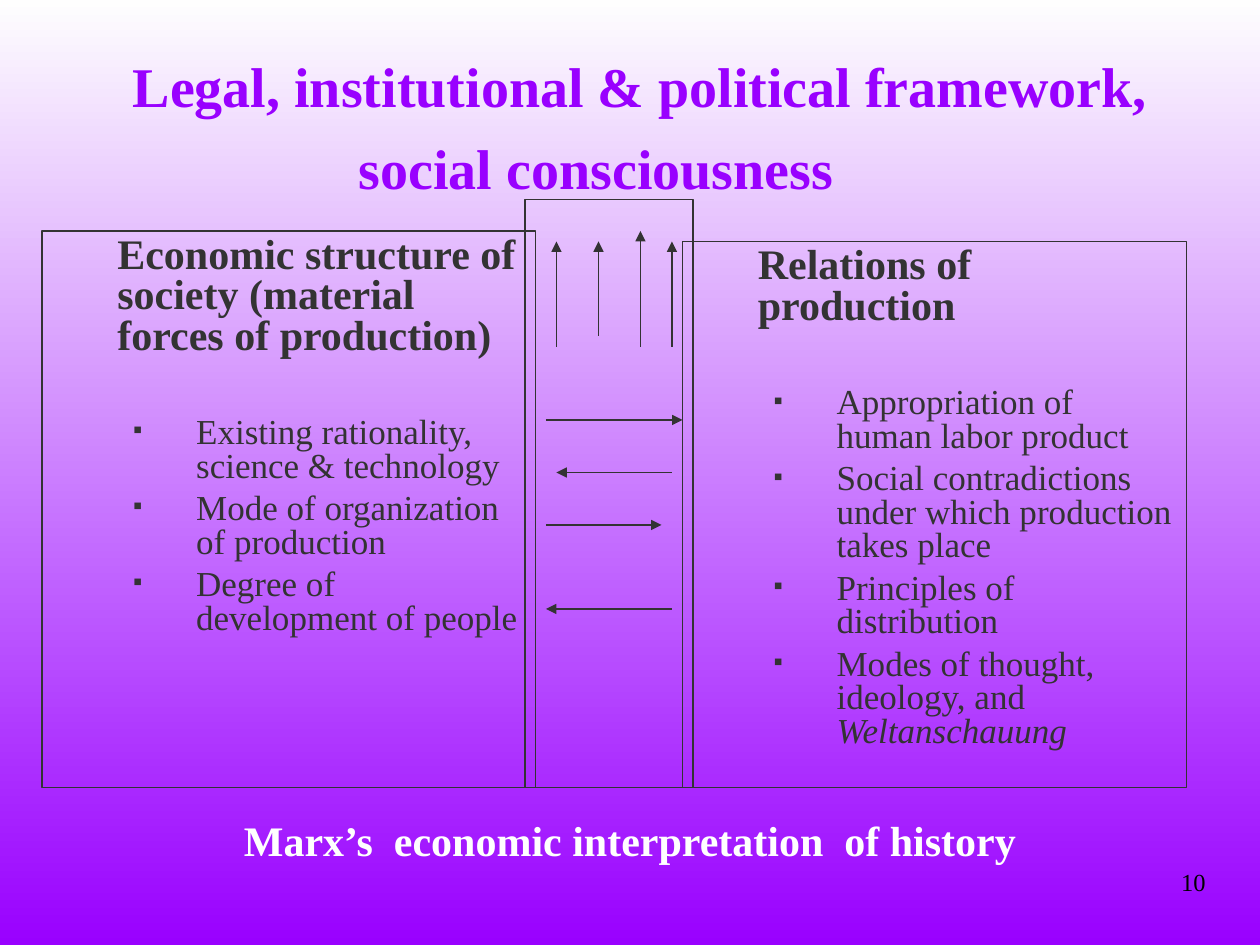
from lxml import etree
from pptx import Presentation
from pptx import util as u
from pptx.dml.color import RGBColor
from pptx.enum import shapes, text
from pptx.oxml.ns import qn


def colour(value):
    return RGBColor.from_string(value)


class SlideBuilder:
    font = "Times New Roman"
    ink = "333333"
    violet = "9900FF"

    def __init__(self, slide):
        self.slide = slide

    def background(self, top, bottom):
        fill = self.slide.background.fill
        fill.gradient()
        fill.gradient_angle = 270
        for stop, position, value in zip(fill.gradient_stops, (0, 1), (top, bottom)):
            stop.position = position
            stop.color.rgb = colour(value)

    def prepare(self, box, anchor):
        frame = box.text_frame
        frame.word_wrap = True
        frame.vertical_anchor = anchor
        return frame

    def style(self, para, size, value, bold=False, align=text.PP_ALIGN.LEFT):
        para.alignment = align
        font = para.font
        font.name = self.font
        font.size = u.Pt(size)
        font.bold = bold
        font.color.rgb = colour(value)

    def indent(self, para, left, first=0):
        properties = para._p.get_or_add_pPr()
        properties.set("marL", str(u.Pt(left)))
        properties.set("indent", str(u.Pt(first)))
        return properties

    def label(self, area, words, size, value, bold=False,
              align=text.PP_ALIGN.CENTER, anchor=text.MSO_ANCHOR.TOP):
        box = self.slide.shapes.add_textbox(*map(u.Pt, area))
        frame = self.prepare(box, anchor)
        frame.text = words
        self.style(frame.paragraphs[0], size, value, bold, align)
        return frame

    def title(self, area, first_line, second_line, second_left):
        frame = self.label(area, first_line, 32, self.violet, True,
                           anchor=text.MSO_ANCHOR.BOTTOM)
        frame.margin_bottom = u.Pt(5)
        para = frame.add_paragraph()
        para.text = second_line
        self.indent(para, second_left)
        para.space_before = u.Pt(9)
        self.style(para, 32, self.violet, True)

    def frame_box(self, area):
        box = self.slide.shapes.add_shape(shapes.MSO_SHAPE.RECTANGLE, *map(u.Pt, area))
        box.shadow.inherit = False
        box.fill.background()
        box.line.color.rgb = colour(self.ink)
        box.line.width = u.Pt(0.75)
        return box

    def bullet(self, para):
        properties = self.indent(para, 81, -36)
        marker = etree.SubElement(properties, qn("a:buClr"))
        etree.SubElement(marker, qn("a:srgbClr"), val=self.ink)
        etree.SubElement(properties, qn("a:buSzPct"), val="75000")
        etree.SubElement(properties, qn("a:buFont"), typeface=self.font)
        etree.SubElement(properties, qn("a:buChar"), char="▪")

    def panel(self, area, heading, items):
        frame = self.prepare(self.frame_box(area), text.MSO_ANCHOR.TOP)
        para = frame.paragraphs[0]
        para.text = heading
        para.line_spacing = 0.8
        self.indent(para, 36)
        self.style(para, 24, self.ink, True)
        for index, (words, emphasis) in enumerate(items):
            para = frame.add_paragraph()
            para.add_run().text = words
            if emphasis:
                span = para.add_run()
                span.text = emphasis
                span.font.italic = True
            para.line_spacing = 0.8
            para.space_before = u.Pt(5 if index else 34)
            self.bullet(para)
            self.style(para, 20, self.ink)

    def arrow(self, *ends):
        line = self.slide.shapes.add_connector(
            shapes.MSO_CONNECTOR.STRAIGHT, *map(u.Pt, ends))
        line.line.color.rgb = colour(self.ink)
        line.line.width = u.Pt(0.75)
        etree.SubElement(line.line._get_or_add_ln(), qn("a:tailEnd"), type="triangle")
        etree.SubElement(line._element.spPr, qn("a:effectLst"))


def main():
    deck = Presentation()
    deck.slide_width, deck.slide_height = u.Pt(720), u.Pt(540)
    page = SlideBuilder(deck.slides.add_slide(deck.slide_layouts[6]))
    page.background("FEFEFE", page.violet)
    page.title((60, 18, 612, 102), "Legal, institutional & political framework,",
               "social consciousness", 138)
    page.panel((24, 132, 282, 318),
               "Economic structure of society (material forces of production)",
               [("Existing rationality, science & technology", ""),
                ("Mode of organization of production", ""),
                ("Degree of development of people", "")])
    page.panel((390, 138, 288, 312), "Relations of production",
               [("Appropriation of human labor product", ""),
                ("Social contradictions under which production takes place", ""),
                ("Principles of distribution", ""),
                ("Modes of thought, ideology, and ", "Weltanschauung")])
    for start, end, y in ((312, 390, 240), (384, 318, 270),
                          (312, 378, 300), (384, 312, 348)):
        page.arrow(start, y, end, y)
    page.label((96, 462, 528, 36), "Marx’s  economic interpretation  of history",
               24, "FFFFFF", True)
    for x, start, end in ((366, 198, 132), (318, 198, 138),
                          (342, 192, 138), (384, 198, 138)):
        page.arrow(x, start, x, end)
    page.frame_box((300, 114, 96, 336))
    page.label((624, 480, 72, 36), "10", 14, "000000",
               align=text.PP_ALIGN.RIGHT, anchor=text.MSO_ANCHOR.BOTTOM)
    deck.save("out.pptx")


if __name__ == "__main__":
    main()
